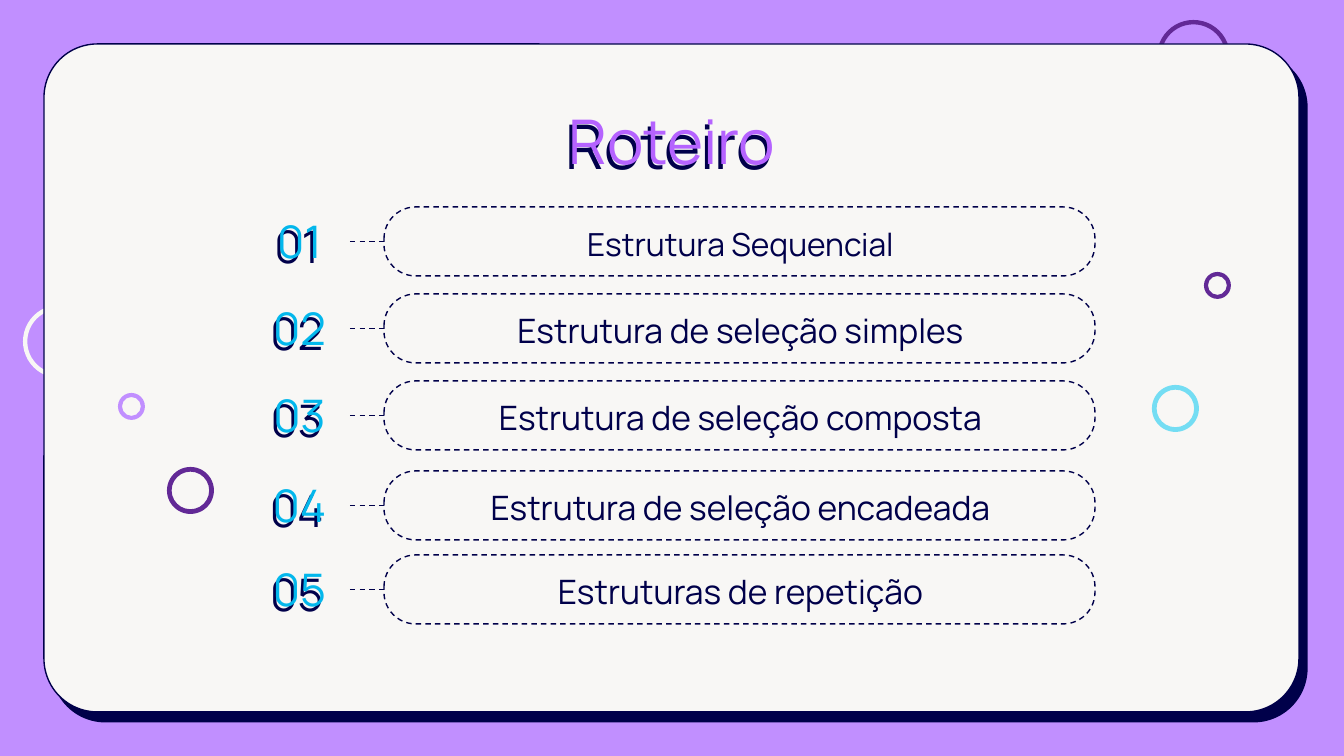
from dataclasses import dataclass

import pptx
import pptx.dml.color
import pptx.enum.dml
import pptx.enum.shapes
import pptx.enum.text
import pptx.oxml
import pptx.oxml.ns
import pptx.util

SHAPES = pptx.enum.shapes.MSO_SHAPE
ANCHORS = pptx.enum.text.MSO_ANCHOR


@dataclass(frozen=True)
class Theme:
    font: str = "Manrope"
    lilac: str = "C18FFF"
    violet: str = "B563FF"
    purple: str = "622996"
    paper: str = "F8F7F5"
    navy: str = "00004A"
    cyan: str = "03B7EC"
    sky: str = "74DDF3"
    title_size: int = 33
    number_size: int = 24
    label_size: int = 18
    first_label_size: int = 17
    line_width: float = 0.75


THEME = Theme()

TITLE = "Roteiro"
# label, type size, top of the pill
TOPICS = [
    ("Estrutura Sequencial", THEME.first_label_size, 207),
    ("Estrutura de seleção simples", THEME.label_size, 294),
    ("Estrutura de seleção composta", THEME.label_size, 381),
    ("Estrutura de seleção encadeada", THEME.label_size, 471),
    ("Estruturas de repetição", THEME.label_size, 555),
]
# left, top, diameter, ring thickness ratio, colour
RINGS_BEHIND_CARD = [
    (1157, 20, 73, 0.06, THEME.purple),
    (23, 305, 73, 0.06, THEME.paper),
]
RINGS_ON_CARD = [
    (167, 467, 47, 0.1, THEME.purple),
    (1204, 272, 27, 0.15, THEME.purple),
    (1152, 385, 47, 0.1, THEME.sky),
    (118, 393, 27, 0.15, THEME.lilac),
]

SLIDE_WIDTH, SLIDE_HEIGHT = 1344, 756
CARD = (44, 44, 1255, 668)
TITLE_BOX = (105, 90, 1134, 90)
PILL_LEFT, PILL_WIDTH, PILL_HEIGHT = 384, 711, 69
NUMBER_LEFT, NUMBER_WIDTH = 249, 101
LABEL_LEFT, LABEL_WIDTH = 407, 667
TEXT_HEIGHT = PILL_HEIGHT + 1
TEXT_INSET = 13


def px(length):
    return pptx.util.Emu(round(length * 914400 / 134.4))


def color(value):
    return pptx.dml.color.RGBColor.from_string(value)


def style_line(line, dashed):
    line.color.rgb = color(THEME.navy)
    line.width = pptx.util.Pt(THEME.line_width)
    if dashed:
        line.dash_style = pptx.enum.dml.MSO_LINE.DASH


def add_hard_shadow(shape, distance, angle):
    """Give a shape an unblurred navy shadow (points, degrees)."""
    shape.shadow.inherit = False
    effects = shape._element.spPr.find(pptx.oxml.ns.qn("a:effectLst"))
    effects.append(pptx.oxml.parse_xml(
        f'<a:outerShdw {pptx.oxml.ns.nsdecls("a")} blurRad="0" '
        f'dist="{pptx.util.Pt(distance)}" dir="{angle * 60000}" '
        f'algn="bl" rotWithShape="0"><a:srgbClr val="{THEME.navy}"/>'
        '</a:outerShdw>'))


def add_shape(slide, kind, box, adjustment, fill):
    shape = slide.shapes.add_shape(kind, *map(px, box))
    shape.adjustments[0] = adjustment
    shape.shadow.inherit = False
    shape.fill.solid()
    shape.fill.fore_color.rgb = color(fill)
    shape.line.fill.background()
    return shape


def add_rings(slide, rings):
    for left, top, diameter, thickness, fill in rings:
        add_shape(slide, SHAPES.DONUT, (left, top, diameter, diameter),
                  thickness, fill)


def add_text(slide, text, box, size, fill, anchor):
    textbox = slide.shapes.add_textbox(*map(px, box))
    frame = textbox.text_frame
    frame.word_wrap = True
    frame.vertical_anchor = anchor
    frame.margin_left = frame.margin_right = px(TEXT_INSET)
    frame.margin_top = frame.margin_bottom = px(TEXT_INSET)
    frame.text = text
    paragraph = frame.paragraphs[0]
    paragraph.alignment = pptx.enum.text.PP_ALIGN.CENTER
    font = paragraph.runs[0].font
    font.name = THEME.font
    font.size = pptx.util.Pt(size)
    font.color.rgb = color(fill)
    return textbox


def add_topic(slide, number, label, size, top):
    pill = add_shape(slide, SHAPES.ROUNDED_RECTANGLE,
                     (PILL_LEFT, top, PILL_WIDTH, PILL_HEIGHT),
                     0.46, THEME.paper)
    style_line(pill.line, dashed=True)

    number_box = add_text(slide, f"{number:02}",
                          (NUMBER_LEFT, top - 1, NUMBER_WIDTH, TEXT_HEIGHT),
                          THEME.number_size, THEME.cyan, ANCHORS.MIDDLE)
    add_hard_shadow(number_box, 3, 120)
    add_text(slide, label, (LABEL_LEFT, top - 1, LABEL_WIDTH, TEXT_HEIGHT),
             size, THEME.navy, ANCHORS.BOTTOM)

    middle = px(top + PILL_HEIGHT / 2)
    connector = slide.shapes.add_connector(
        pptx.enum.shapes.MSO_CONNECTOR.STRAIGHT,
        px(NUMBER_LEFT + NUMBER_WIDTH), middle, px(PILL_LEFT), middle)
    connector.end_connect(pill, 1)
    style_line(connector.line, dashed=True)
    connector._element.spPr.append(
        pptx.oxml.parse_xml(f'<a:effectLst {pptx.oxml.ns.nsdecls("a")}/>'))


def main():
    presentation = pptx.Presentation()
    presentation.slide_width = px(SLIDE_WIDTH)
    presentation.slide_height = px(SLIDE_HEIGHT)
    slide = presentation.slides.add_slide(presentation.slide_layouts[6])
    slide.background.fill.solid()
    slide.background.fill.fore_color.rgb = color(THEME.lilac)

    add_rings(slide, RINGS_BEHIND_CARD)
    card = add_shape(slide, SHAPES.ROUNDED_RECTANGLE, CARD, 0.08, THEME.paper)
    style_line(card.line, dashed=False)
    add_hard_shadow(card, 6.8, 51)
    add_rings(slide, RINGS_ON_CARD)

    title = add_text(slide, TITLE, TITLE_BOX, THEME.title_size,
                     THEME.violet, ANCHORS.TOP)
    add_hard_shadow(title, 3, 120)
    for number, (label, size, top) in enumerate(TOPICS, start=1):
        add_topic(slide, number, label, size, top)

    presentation.save("out.pptx")


if __name__ == "__main__":
    main()
